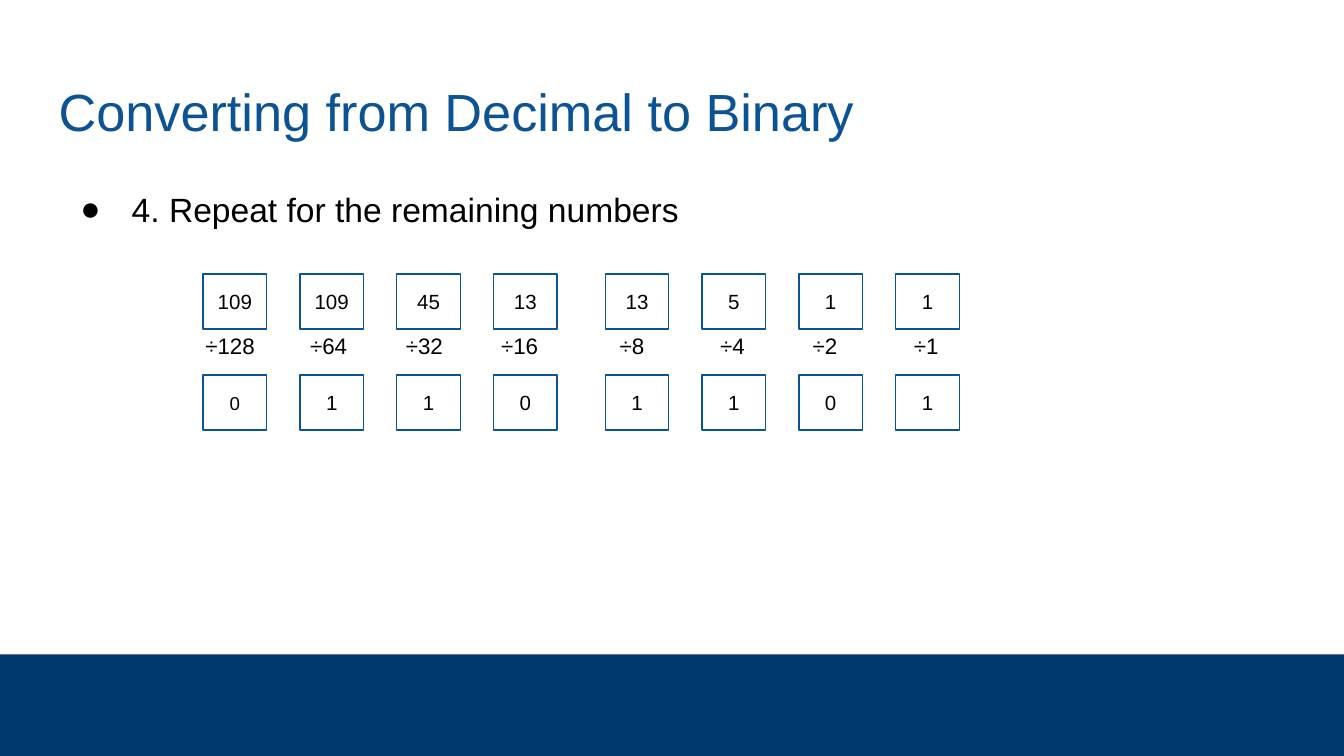
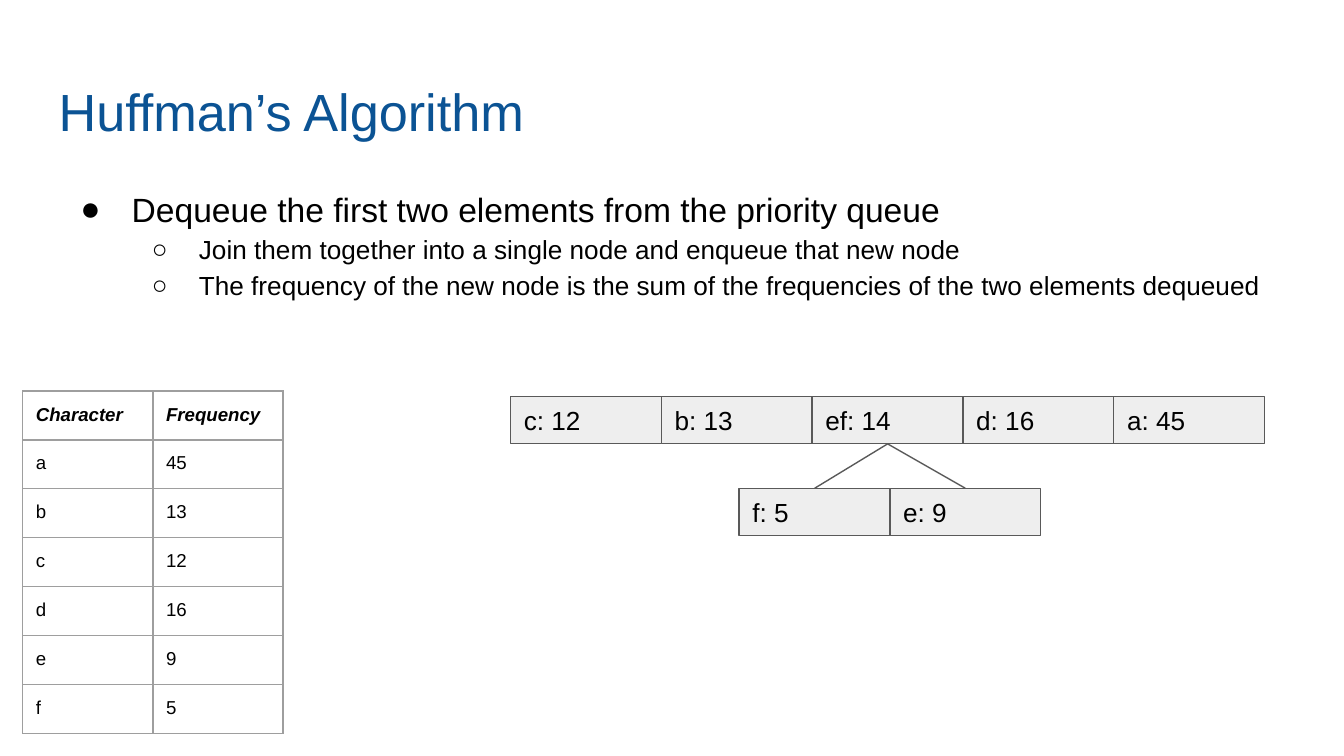
from lxml import etree
from pptx import Presentation
from pptx import util as u
from pptx.dml.color import RGBColor
from pptx.enum import shapes, text
from pptx.oxml import ns, parse_xml

# Shared look
FONT = "Arial"
BLACK, WHITE = "000000", "FFFFFF"
BLUE, NAVY = "0B5394", "00396E"
LIGHT_GREY, DARK_GREY, TABLE_GREY = "EEEEEE", "595959", "9E9E9E"
INSET = u.Cm(0.25)
LINE_WIDTH = u.Pt(0.75)
PAGE_WIDTH, PAGE_HEIGHT = 25.4, 14.29
BULLETS = [("●", 18, 1.27, 0.97), ("○", 14, 2.54, 0.89)]
colour = RGBColor.from_string


def write(frame, content, size, tint=BLACK, bold=False, italic=False, align=None, level=None):
    """Add a paragraph to a text frame, bulleted if a level is given."""
    para = frame.paragraphs[0]
    if para.runs:
        para = frame.add_paragraph()
    para.alignment = align
    span = para.add_run()
    span.text = content
    span.font.name, span.font.size = FONT, u.Pt(size)
    span.font.bold, span.font.italic = bold, italic
    span.font.color.rgb = colour(tint)
    if level is not None:
        mark, _, indent, hang = BULLETS[level]
        para.level, para.line_spacing = level, 1.15
        props = para._p.get_or_add_pPr()
        props.set("marL", str(u.Cm(indent)))
        props.set("indent", str(-u.Cm(hang)))
        bullet_colour = etree.SubElement(props, ns.qn("a:buClr"))
        etree.SubElement(bullet_colour, ns.qn("a:srgbClr"), val=tint)
        etree.SubElement(props, ns.qn("a:buFont"), typeface=FONT)
        etree.SubElement(props, ns.qn("a:buChar"), char=mark)


def add_box(page, left, top, width, height, fill=None, line=None):
    """Add a rectangle, or a plain text box if it has no fill and no line."""
    place = [u.Cm(length) for length in (left, top, width, height)]
    if fill or line:
        box = page.shapes.add_shape(shapes.MSO_SHAPE.RECTANGLE, *place)
        box.shadow.inherit = False
        box.text_frame.vertical_anchor = text.MSO_ANCHOR.MIDDLE
    else:
        box = page.shapes.add_textbox(*place)
    if fill:
        box.fill.solid()
        box.fill.fore_color.rgb = colour(fill)
    else:
        box.fill.background()
    if line:
        box.line.color.rgb = colour(line)
        box.line.width = LINE_WIDTH
    else:
        box.line.fill.background()
    frame = box.text_frame
    frame.word_wrap = True
    frame.margin_left = frame.margin_right = INSET
    frame.margin_top = frame.margin_bottom = INSET
    return box


deck = Presentation()
deck.slide_width, deck.slide_height = u.Cm(PAGE_WIDTH), u.Cm(PAGE_HEIGHT)

# Title and bullets of each slide
outlines = [
    ("Converting from Decimal to Binary", 1.6, [
        (0, "4. Repeat for the remaining numbers"),
    ]),
    ("Huffman’s Algorithm", 3.38, [
        (0, "Dequeue the first two elements from the priority queue"),
        (1, "Join them together into a single node and enqueue that new node"),
        (1, "The frequency of the new node is the sum of the frequencies of the two elements dequeued"),
    ]),
]
pages = []
for title, body_height, points in outlines:
    page = deck.slides.add_slide(deck.slide_layouts[6])
    page.background.fill.solid()
    page.background.fill.fore_color.rgb = colour(WHITE)
    write(add_box(page, 0.86, 1.24, 23.67, 1.6).text_frame, title, 28, tint=BLUE)
    body = add_box(page, 0.97, 3.2, 23.57, body_height).text_frame
    for level, point in points:
        write(body, point, BULLETS[level][1], level=level)
    pages.append(page)
binary_page, huffman_page = pages

# Slide 1: footer band
add_box(binary_page, 0, 12.37, PAGE_WIDTH, 1.92, fill=NAVY)

# Slide 1: dividend, divisor and resulting bit; a wider gap splits the two nibbles
dividends = [109, 109, 45, 13, 13, 5, 1, 1]
divisor_lefts = [3.63, 5.61, 7.42, 9.22, 11.46, 13.36, 15.11, 17.02]
for column, (dividend, divisor_left) in enumerate(zip(dividends, divisor_lefts)):
    divisor = 2 ** (7 - column)
    left = 3.84 + 1.83 * column + 0.28 * (column // 4)
    for top, number in [(5.18, dividend), (7.09, dividend // divisor)]:
        box = add_box(binary_page, left, top, 1.2, 1.04, line=BLUE)
        size = 10 if number == 0 and column == 0 else 11
        write(box.text_frame, str(number), size, align=text.PP_ALIGN.CENTER)
    write(add_box(binary_page, divisor_left, 6.02, 1.5, 1.8).text_frame, f"÷{divisor}", 12)

# Slide 2: frequency table
rows = [("Character", "Frequency"), ("a", "45"), ("b", "13"), ("c", "12"),
        ("d", "16"), ("e", "9"), ("f", "5")]
table = huffman_page.shapes.add_table(
    len(rows), 2, u.Cm(0.43), u.Cm(7.39), u.Cm(4.92), u.Cm(5.53)).table
table.first_row = table.horz_banding = False
for row_index, row in enumerate(rows):
    table.rows[row_index].height = u.Cm(0.79)
    for column, content in enumerate(row):
        cell = table.cell(row_index, column)
        cell.margin_left = cell.margin_right = INSET
        cell.margin_top = cell.margin_bottom = INSET
        heading = row_index == 0
        write(cell.text_frame, content, 10, bold=heading, italic=heading)
        cell.fill.background()
        for order, side in enumerate(("lnL", "lnR", "lnT", "lnB")):
            cell._tc.get_or_add_tcPr().insert(order, parse_xml(
                f'<a:{side} {ns.nsdecls("a")} w="{LINE_WIDTH}"><a:solidFill>'
                f'<a:srgbClr val="{TABLE_GREY}"/></a:solidFill></a:{side}>'))

# Slide 2: priority queue with the joined node's children below
node_width, node_height = 2.85, 0.89
node_rows = [
    (9.65, 7.5, ["c: 12", "b: 13", "ef: 14", "d: 16", "a: 45"]),
    (13.97, 9.23, ["f: 5", "e: 9"]),
]
nodes = {}
for row_left, top, labels in node_rows:
    for position, label in enumerate(labels):
        node = add_box(huffman_page, row_left + position * node_width, top,
                       node_width, node_height, fill=LIGHT_GREY, line=DARK_GREY)
        write(node.text_frame, label, 14)
        nodes[label] = node

# Slide 2: branches from bottom centre of the parent to top centre of each child
for child in ("f: 5", "e: 9"):
    branch = huffman_page.shapes.add_connector(shapes.MSO_CONNECTOR.STRAIGHT, 0, 0, 0, 0)
    branch.begin_connect(nodes["ef: 14"], 2)
    branch.end_connect(nodes[child], 0)
    branch.line.color.rgb = colour(DARK_GREY)
    branch.line.width = LINE_WIDTH
    etree.SubElement(branch._element.spPr, ns.qn("a:effectLst"))

deck.save("out.pptx")
